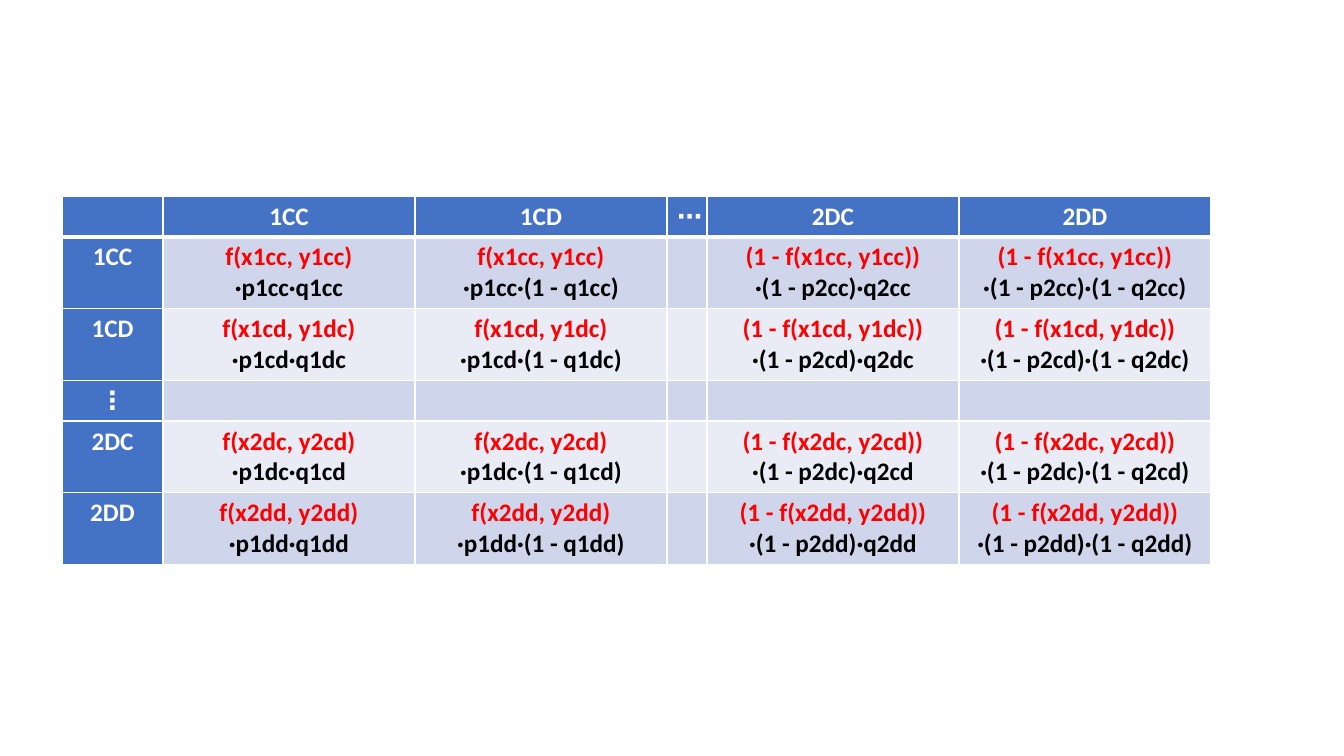
"""Build a slide with the transition matrix of a two-state game."""
import lxml.etree
import pptx
import pptx.dml.color
import pptx.enum.text
import pptx.oxml.ns
import pptx.util

PX = 9071.43
WHITE, BLACK, RED, BLUE = "FFFFFF", "000000", "FF0000", "4472C4"
BANDS = ["CFD5EA", "E9EBF5"]


def px(n):
    return pptx.util.Emu(round(n * PX))


def rgb(value):
    return pptx.dml.color.RGBColor.from_string(value)


def write(p, text, *, color, font="Calibri", size=18, bold=True):
    p.alignment = pptx.enum.text.PP_ALIGN.CENTER
    r = p.add_run()
    r.text = text
    r.font.name, r.font.size, r.font.bold = font, pptx.util.Pt(size), bold
    r.font.color.rgb = rgb(color)


class Deck:
    def __init__(self, prs):
        self.prs = prs
        self.s = prs.slides.add_slide(prs.slide_layouts[6])

    def border(self, cell, **widths):
        tc_pr = cell._tc.get_or_add_tcPr()
        qn = pptx.oxml.ns.qn
        for side in "LRTB":
            ln = lxml.etree.SubElement(tc_pr, qn("a:ln" + side))
            ln.set("w", str(pptx.util.Pt(widths.get(side, 1))))
            fill = lxml.etree.SubElement(ln, qn("a:solidFill"))
            lxml.etree.SubElement(fill, qn("a:srgbClr")).set("val", WHITE)

    def cell(self, cell, lines, fill, **widths):
        self.border(cell, **widths)
        cell.fill.solid()
        cell.fill.fore_color.rgb = rgb(fill)
        tf = cell.text_frame
        for i, (text, color) in enumerate(lines):
            p = tf.add_paragraph() if i else tf.paragraphs[0]
            write(p, text, color=color)

    def table(self, left, top, widths, heights):
        frame = self.s.shapes.add_table(
            len(heights), len(widths), px(left), px(top),
            px(sum(widths)), px(sum(heights)))
        tbl = frame.table
        tbl.first_row = tbl.horz_banding = False
        for col, width in zip(tbl.columns, widths):
            col.width = px(width)
        for row, height in zip(tbl.rows, heights):
            row.height = px(height)
        return tbl


def transition(start, end):
    """Return the two lines for moving from one state to another."""
    game, own = start[0], start[1:].lower()
    other = own[::-1]
    stay = f"f(x{game}{own}, y{game}{other})"
    to = end[0]
    p, q = f"p{to}{own}", f"q{to}{other}"
    first = stay if to == "1" else f"(1 - {stay})"
    p = p if end[1] == "C" else f"(1 - {p})"
    q = q if end[2] == "C" else f"(1 - {q})"
    return [(first, RED), (f"·{p}·{q}", BLACK)]


def entry(start, end):
    """Return the lines of a body cell, none beside an ellipsis."""
    return transition(start, end) if len(start) == len(end) == 3 else []


prs = pptx.Presentation()
prs.slide_width, prs.slide_height = px(1344), px(756)
deck = Deck(prs)

EXCEPTIONS = {("1CC", "1CD"): "·p1cc·(1 - q1cc)"}
col_heads = ["1CC", "1CD", "⋯", "2DC", "2DD"]
row_heads = ["1CC", "1CD", "⋮", "2DC", "2DD"]
tbl = deck.table(62, 196, [101, 252, 252, 40, 252, 252],
                 [40, 71, 71, 40, 71, 71])

deck.cell(tbl.cell(0, 0), [], BLUE, B=3)
for c, end in enumerate(col_heads, 1):
    deck.cell(tbl.cell(0, c), [(end, WHITE)], BLUE, B=3)
for r, start in enumerate(row_heads, 1):
    edge = 3 if r == 1 else 1
    deck.cell(tbl.cell(r, 0), [(start, WHITE)], BLUE, T=edge)
    for c, end in enumerate(col_heads, 1):
        deck.cell(tbl.cell(r, c), entry(start, end), BANDS[(r - 1) % 2], T=edge)

prs.save("out.pptx")
